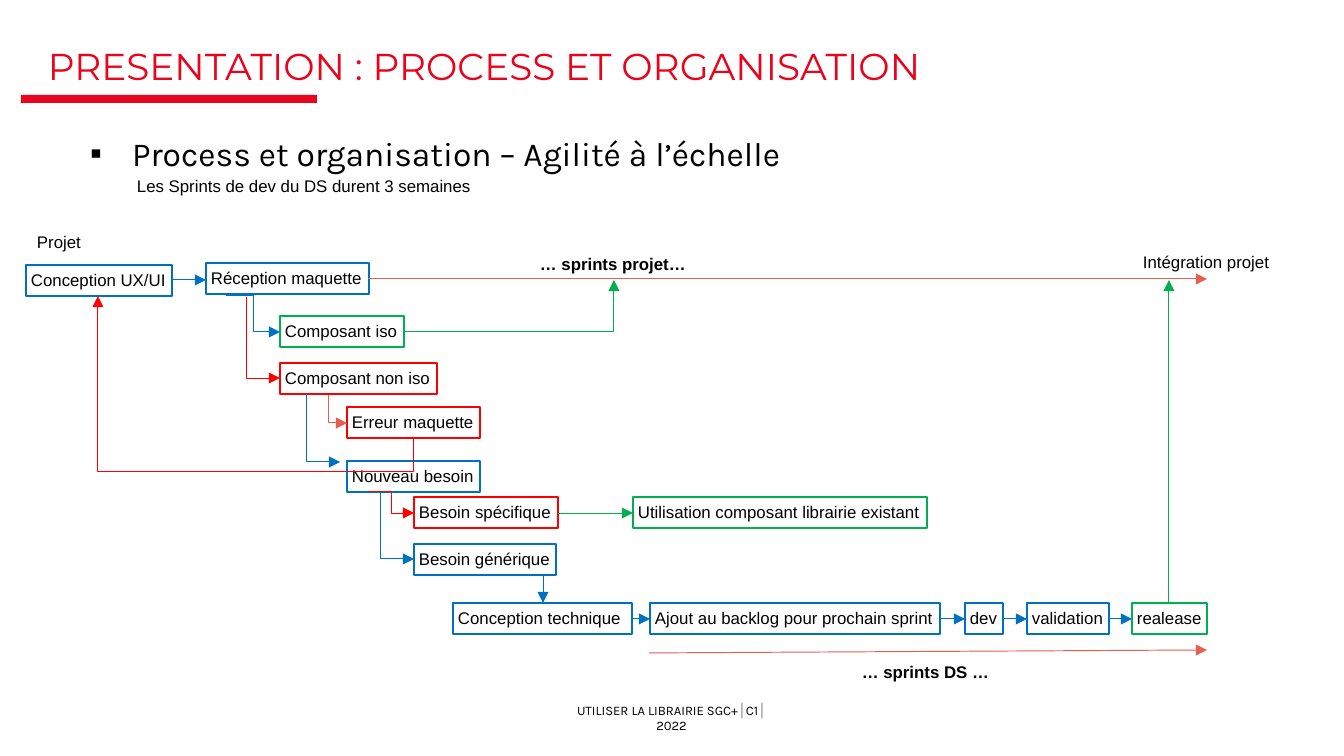
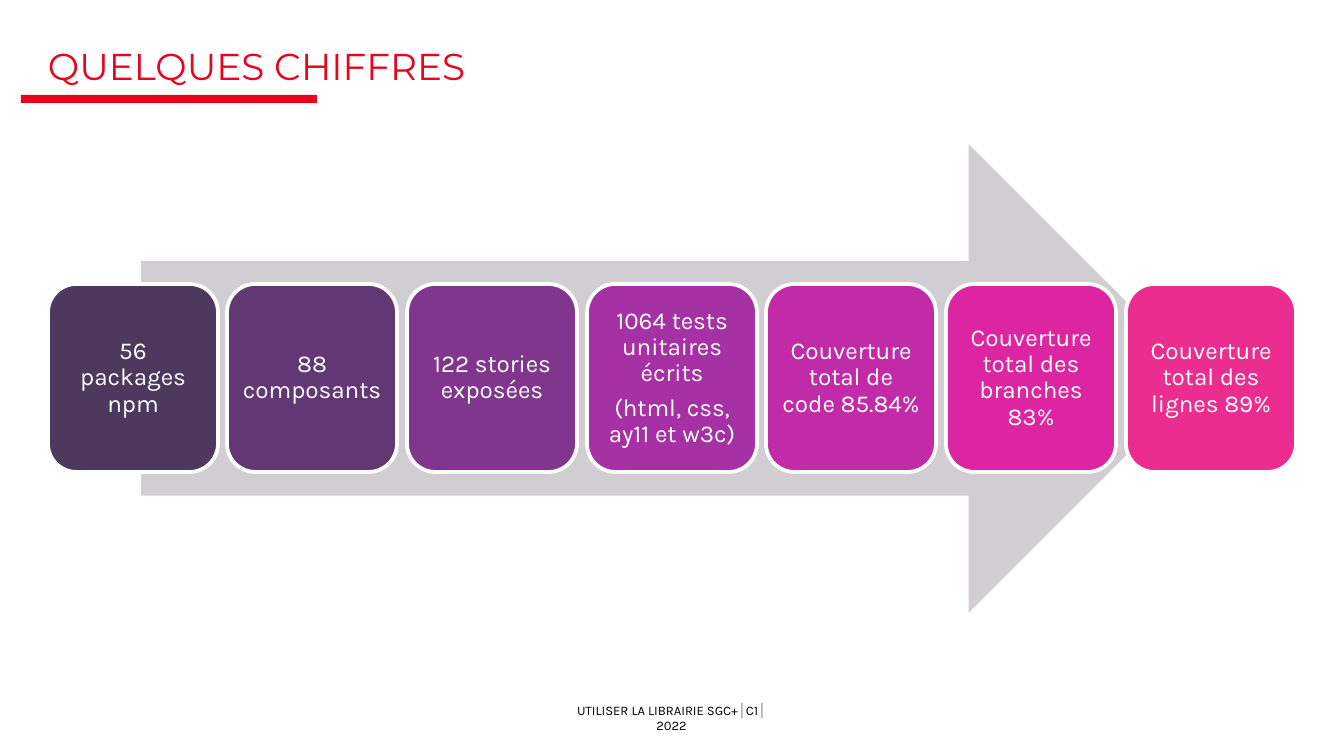
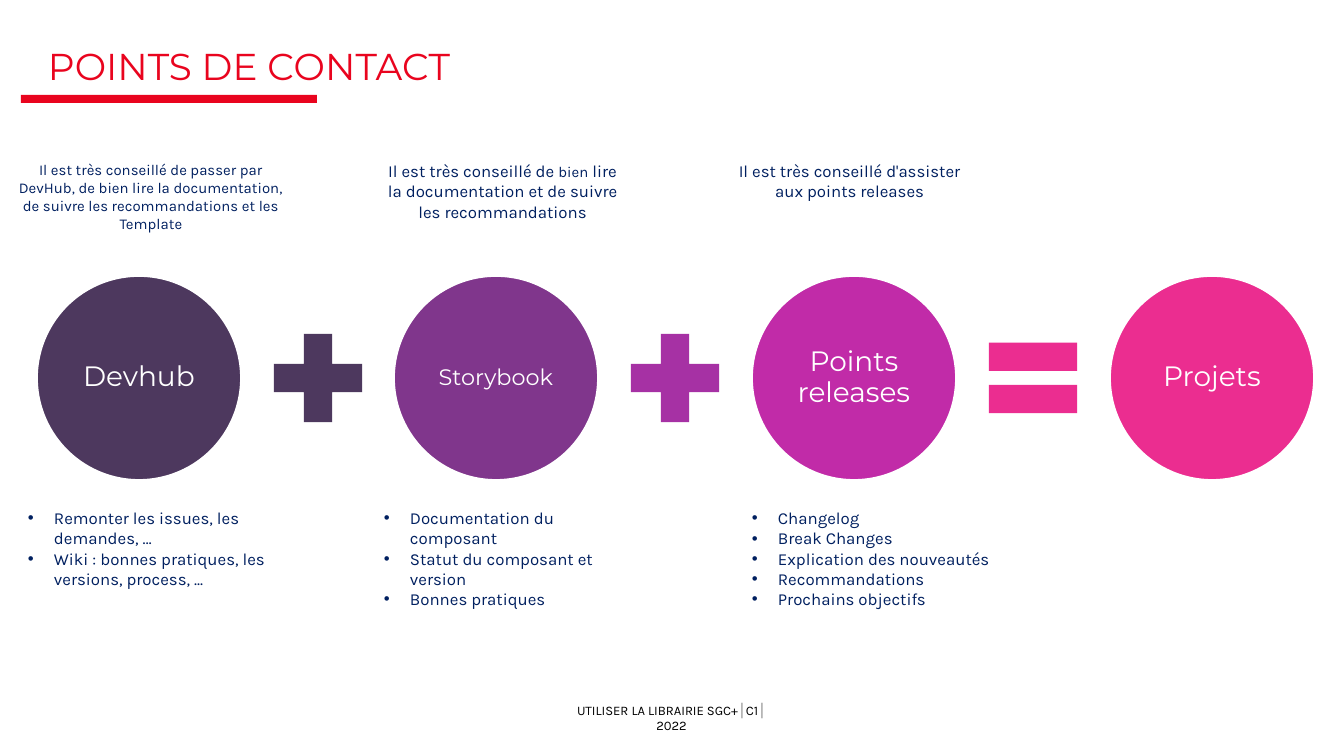
from dataclasses import dataclass
from typing import Any, Optional

from lxml.etree import SubElement
from pptx import Presentation
from pptx.dml.color import RGBColor as Rgb
from pptx.enum.shapes import MSO_CONNECTOR as Conn, MSO_SHAPE as Geo
from pptx.enum.text import MSO_ANCHOR as Anchor, MSO_AUTO_SIZE as Auto, PP_ALIGN as Align
from pptx.oxml.ns import qn
from pptx.util import Emu, Pt

SCALE = 914400 / 134.4
COLORS = {
    "ink": "010101", "gray": "808080", "white": "FFFFFF", "title": "E9041E",
    "navy": "002060", "blue": "0070C0", "green": "00B050", "red": "FF0000",
    "coral": "E55F50", "arrow": "D0CED2", "plum": "4D385E", "grape": "623874",
    "violet": "80368C", "purple": "A631A4", "orchid": "C12BA8",
    "pink": "DD25A1", "rose": "EB2D90",
}


def px(n: float) -> Emu:
    return Emu(round(n * SCALE))


def rgb(name: str) -> Rgb:
    return Rgb.from_string(COLORS[name])


@dataclass
class Style:
    font: str = "Arial"
    size: int = 9
    color: str = "ink"
    bold: bool = False
    align: Align = Align.LEFT
    anchor: Anchor = Anchor.TOP
    pad: tuple[int, int] = (5, 5)
    wrap: bool = True
    fit: bool = True
    lead: Optional[float] = None
    after: float = 0
    mark: str = ""
    indent: int = 26


@dataclass
class Box:
    text: str
    x: int
    y: int
    w: int
    line: str = ""


@dataclass
class Link:
    x1: int
    y1: int
    x2: int
    y2: int
    color: str
    kind: str = "line"


@dataclass
class Point:
    name: str
    size: int
    color: str


@dataclass
class Note:
    x: int
    y: int
    w: int
    h: int
    paras: list
    style: Style


TITLE = Style("Montserrat", 20, "title", anchor=Anchor.BOTTOM, pad=(0, 0), lead=0.75)
FOOT = Style("Karla", 7, align=Align.CENTER, anchor=Anchor.MIDDLE, pad=(0, 0), fit=False)
HEAD = Style("Karla", 18, pad=(13, 7), mark="▪", indent=42)
LABEL = Style(wrap=False)
STRONG = Style(wrap=False, bold=True)
CARD = Style("Karla", 13, "white", align=Align.CENTER, anchor=Anchor.MIDDLE,
             pad=(6, 6), fit=False, lead=0.9, after=4.5)
ADVICE = Style("Karla", 9, "navy", align=Align.CENTER)
SMALL = Style("Karla", 8, "navy", align=Align.CENTER)
LIST = Style("Karla", 9, "navy", mark="•")


# Text: a paragraph is a string, or a list of (text, colour, size) runs
def write(shape: Any, paras: list, st: Style) -> None:
    frame = shape.text_frame
    frame.word_wrap = st.wrap
    frame.auto_size = Auto.SHAPE_TO_FIT_TEXT if st.fit else Auto.NONE
    frame.vertical_anchor = st.anchor
    frame.margin_left = frame.margin_right = px(st.pad[0])
    frame.margin_top = frame.margin_bottom = px(st.pad[1])
    for i, item in enumerate(paras):
        para = frame.add_paragraph() if i else frame.paragraphs[0]
        if isinstance(item, str):
            para.text = item
        else:
            for words, color, size in item:
                run = para.add_run()
                run.text = words
                run.font.color.rgb = rgb(color)
                run.font.size = Pt(size)
        if st.mark:
            props = para._p.get_or_add_pPr()
            props.set("marL", str(px(st.indent)))
            props.set("indent", str(-px(st.indent)))
            SubElement(props, qn("a:buFont")).set("typeface", "Arial")
            SubElement(props, qn("a:buChar")).set("char", st.mark)
        para.alignment = st.align
        if st.lead:
            para.line_spacing = st.lead
        if st.after:
            para.space_after = Pt(st.after)
        font = para.font
        font.name, font.size, font.bold = st.font, Pt(st.size), st.bold
        font.color.rgb = rgb(st.color)


def add_text(slide: Any, x: int, y: int, w: int, h: int, paras: list, st: Style) -> None:
    write(slide.shapes.add_textbox(px(x), px(y), px(w), px(h)), paras, st)


def add_form(slide: Any, geo: Geo, x: int, y: int, w: int, h: int,
             fill: str = "", line: str = "", width: float = 0.75) -> Any:
    shape = slide.shapes.add_shape(geo, px(x), px(y), px(w), px(h))
    shape.shadow.inherit = False
    if fill:
        shape.fill.solid()
        shape.fill.fore_color.rgb = rgb(fill)
    else:
        shape.fill.background()
    if line:
        shape.line.color.rgb = rgb(line)
        shape.line.width = Pt(width)
    else:
        shape.line.fill.background()
    return shape


# Kinds: line; step (across, along, across); turn (across, along);
# drop (down, across); loop (down, back, up)
def add_link(slide: Any, ln: Link) -> None:
    kind = Conn.STRAIGHT if ln.kind == "line" else Conn.ELBOW
    wire = slide.shapes.add_connector(kind, px(ln.x1), px(ln.y1), px(ln.x2), px(ln.y2))
    wire.line.color.rgb = rgb(ln.color)
    wire.line.width = Pt(0.5)
    props = wire._element.spPr
    SubElement(props.find(qn("a:ln")), qn("a:tailEnd")).set("type", "triangle")
    SubElement(props, qn("a:effectLst"))
    geom = props.find(qn("a:prstGeom"))
    if ln.kind in ("turn", "drop"):
        geom.set("prst", "bentConnector2")
    if ln.kind in ("drop", "loop"):
        wide, high = abs(ln.y2 - ln.y1), abs(ln.x2 - ln.x1)
        wire.left = px((ln.x1 + ln.x2 - wide) / 2)
        wire.top = px((ln.y1 + ln.y2 - high) / 2)
        wire.width, wire.height = px(wide), px(high)
        frame = props.find(qn("a:xfrm"))
        frame.attrib.pop("flipV", None)
        frame.set("flipH", "1")
        frame.set("rot", str((270 if ln.kind == "drop" else 90) * 60000))
    if ln.kind == "loop":
        guides = geom.find(qn("a:avLst"))
        if guides is None:
            guides = SubElement(geom, qn("a:avLst"))
        guide = SubElement(guides, qn("a:gd"))
        guide.set("name", "adj1")
        guide.set("fmla", "val -23500")


# Shared footer, band and title
def start(deck: Any, title: str) -> Any:
    slide = deck.slides.add_slide(deck.slide_layouts[6])
    foot = [("UTILISER LA LIBRAIRIE SGC+", "ink", 7), ("│", "gray", 7),
            ("C1", "ink", 7), ("│ ", "gray", 7), ("2022", "ink", 7)]
    add_text(slide, 564, 710, 215, 16, [foot], FOOT)
    add_form(slide, Geo.RECTANGLE, 21, 95, 296, 8, "title")
    add_text(slide, 48, 52, 1249, 35, [title], TITLE)
    return slide


# Slide 1: process flow
STEPS = [
    Box("Conception UX/UI", 26, 265, 146, "blue"),
    Box("Réception maquette", 206, 263, 163, "blue"),
    Box("Composant iso", 280, 316, 124, "green"),
    Box("Composant non iso", 280, 363, 157, "red"),
    Box("Erreur maquette", 347, 407, 133, "red"),
    Box("Nouveau besoin", 347, 461, 133, "blue"),
    Box("Besoin spécifique", 414, 497, 144, "red"),
    Box("Utilisation composant librairie existant", 633, 497, 294, "green"),
    Box("Besoin générique", 414, 544, 142, "blue"),
    Box("Conception technique", 453, 603, 179, "blue"),
    Box("Ajout au backlog pour prochain sprint", 650, 603, 290, "blue"),
    Box("dev", 965, 603, 38, "blue"),
    Box("validation", 1027, 603, 82, "blue"),
    Box("realease", 1132, 603, 75, "green"),
]
LABELS = [
    Box("Les Sprints de dev du DS durent 3 semaines", 132, 171, 347),
    Box("Projet", 32, 227, 63),
    Box("Intégration projet", 1138, 247, 138),
]
SPRINTS = [Box("… sprints projet…", 535, 249, 157), Box("… sprints DS …", 857, 657, 138)]
LINKS = [
    Link(368, 279, 1207, 279, "coral"),
    Link(247, 297, 280, 378, "red", "drop"),
    Link(403, 332, 614, 280, "green", "turn"),
    Link(414, 438, 98, 296, "red", "loop"),
    Link(558, 513, 633, 513, "green"),
    Link(368, 492, 414, 513, "red", "step"),
    Link(380, 492, 414, 559, "blue", "drop"),
    Link(453, 575, 543, 603, "blue", "turn"),
    Link(1169, 603, 1169, 280, "green"),
    Link(328, 395, 347, 423, "coral", "drop"),
    Link(226, 296, 280, 332, "blue", "step"),
    Link(172, 280, 206, 280, "blue"),
    Link(306, 394, 340, 462, "blue", "drop"),
    Link(649, 653, 1207, 650, "coral"),
]


def draw_flow(deck: Any) -> None:
    slide = start(deck, "PRESENTATION : PROCESS ET ORGANISATION")
    add_text(slide, 77, 126, 1094, 54,
             ["Process et organisation – Agilité à l’échelle"], HEAD)
    for step in STEPS:
        shape = add_form(slide, Geo.RECTANGLE, step.x, step.y, step.w, 31, line=step.line)
        write(shape, [step.text], LABEL)
    for group, style in ((LABELS, LABEL), (SPRINTS, STRONG)):
        for box in group:
            add_text(slide, box.x, box.y, box.w, 31, [box.text], style)
    for link in LINKS:
        add_link(slide, link)
    # Arrows between the steps of the bottom row
    row = [step for step in STEPS if step.y == 603]
    for a, b in zip(row, row[1:]):
        add_link(slide, Link(a.x + a.w, 619, b.x, 619, "blue"))


# Slide 2: figures on an arrow
CARDS = [
    (["56\vpackages npm"], "plum"),
    (["88 composants"], "grape"),
    (["122 stories exposées"], "violet"),
    (["1064 tests unitaires écrits", "(html, css, ay11 et w3c)"], "purple"),
    (["Couverture total de code 85.84%"], "orchid"),
    (["Couverture total des branches 83%"], "pink"),
    (["Couverture total des lignes 89%"], "rose"),
]


def draw_cards(deck: Any) -> None:
    slide = start(deck, "QUELQUES CHIFFRES")
    add_form(slide, Geo.RIGHT_ARROW, 141, 144, 1062, 469, "arrow")
    for i, (paras, color) in enumerate(CARDS):
        card = add_form(slide, Geo.ROUNDED_RECTANGLE, 48 + 1078 * i // 6, 284,
                        170, 188, color, "white", 2)
        write(card, paras, CARD)


# Slide 3: sum of contact points
POINTS = [
    Point("Devhub", 15, "plum"),
    Point("Storybook", 12, "violet"),
    Point("Points releases", 15, "orchid"),
    Point("Projets", 15, "rose"),
]
SIGNS = [(Geo.MATH_PLUS, "plum"), (Geo.MATH_PLUS, "purple"), (Geo.MATH_EQUAL, "rose")]
NOTES = [
    Note(12, 156, 278, 65, ["Il est très conseillé de passer par DevHub, de bien lire la "
         "documentation, de suivre les recommandations et les Template"], SMALL),
    Note(375, 156, 255, 71, [[
        ("Il est très conseillé de ", "navy", 9), ("bien", "navy", 8),
        (" lire la documentation et de suivre les recommandations", "navy", 9)]], ADVICE),
    Note(726, 156, 247, 51,
         ["Il est très conseillé d'assister aux points releases"], ADVICE),
    Note(23, 503, 255, 93, ["Remonter les issues, les demandes, …",
         "Wiki : bonnes pratiques, les versions, process, ..."], LIST),
    Note(379, 503, 255, 93, ["Documentation du composant",
         "Statut du composant et version", "Bonnes pratiques"], LIST),
    Note(747, 503, 255, 113, ["Changelog", "Break Changes", "Explication des nouveautés",
         "Recommandations", "Prochains objectifs"], LIST),
]


def draw_points(deck: Any) -> None:
    slide = start(deck, "POINTS DE CONTACT")
    for i, point in enumerate(POINTS):
        x = 36 + 1073 * i // 3
        disc = add_form(slide, Geo.OVAL, x, 275, 206, 206, point.color, "white", 2)
        write(disc, [point.name],
              Style("Montserrat", point.size, "white", align=Align.CENTER,
                    anchor=Anchor.MIDDLE, pad=(3, 3), fit=False, lead=0.9, after=4.5))
        if i < len(SIGNS):
            geo, color = SIGNS[i]
            add_form(slide, geo, x + 222, 318, 120, 120, color)
    for note in NOTES:
        add_text(slide, note.x, note.y, note.w, note.h, note.paras, note.style)


def main() -> None:
    deck = Presentation()
    deck.slide_width, deck.slide_height = px(1344), px(756)
    draw_flow(deck)
    draw_cards(deck)
    draw_points(deck)
    deck.save("out.pptx")


if __name__ == "__main__":
    main()
